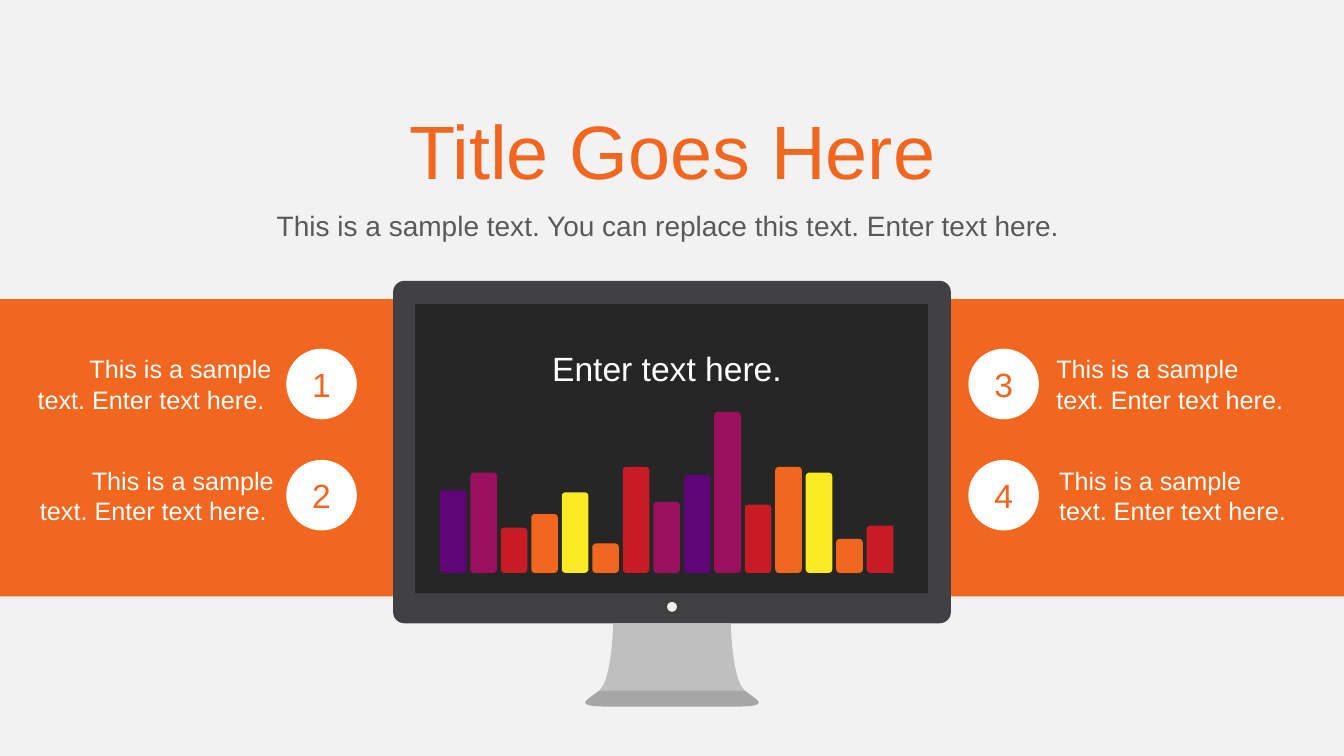
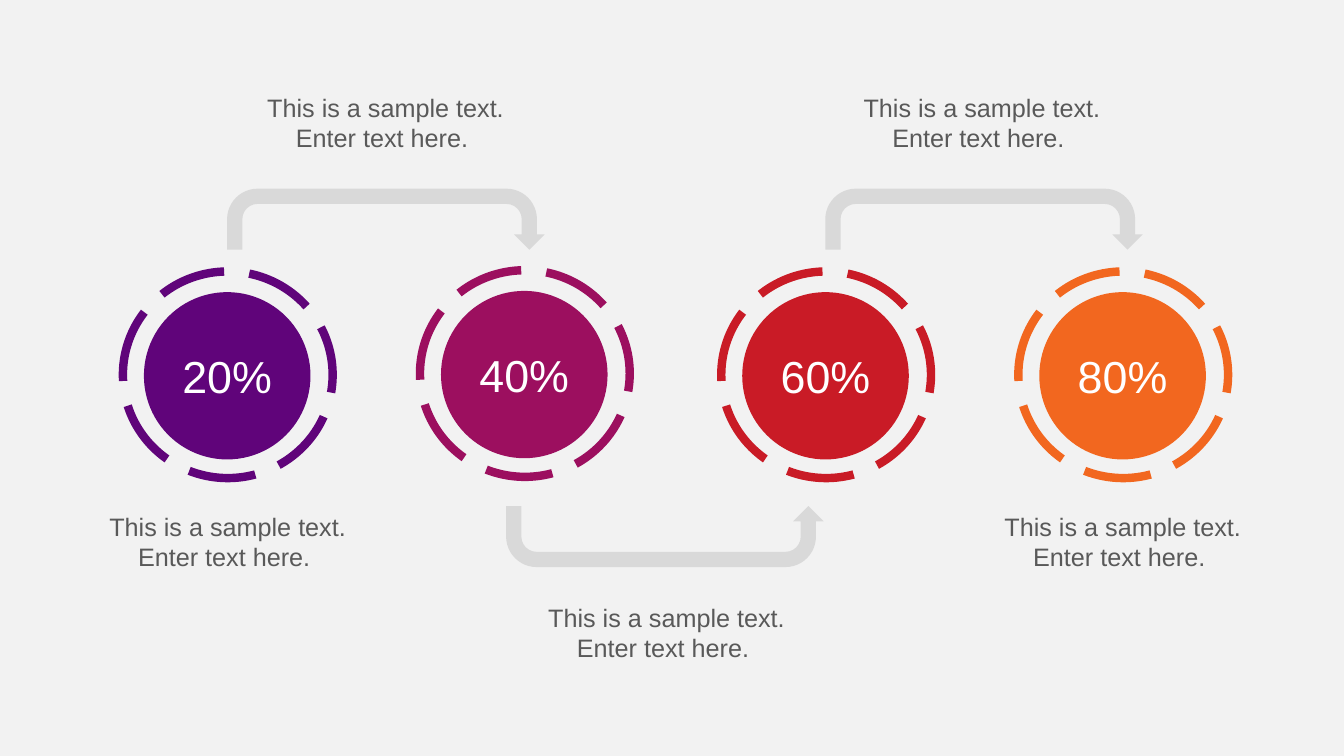
"""Build two infographic slides: a monitor with callouts and a four-step progress flow."""
import pptx
import pptx.util
from pptx.dml.color import RGBColor
from pptx.enum.dml import MSO_LINE
from pptx.enum.shapes import MSO_SHAPE
from pptx.enum.text import MSO_ANCHOR, PP_ALIGN

Pt = pptx.util.Pt
FONT = "Arial"
WIDTH, HEIGHT = 960, 540
COLORS = {
    "paper": "F2F2F2", "white": "FFFFFF", "gray": "595959", "arrow": "D9D9D9",
    "frame": "414042", "screen": "262626", "stand": "BFBFBF", "foot": "A6A6A6",
    "purple": "60047A", "plum": "9C0F5F", "red": "C91B26", "orange": "F2671F",
    "yellow": "FAEA23",
}
SAMPLE = "This is a sample text. Enter text here. "
LEFT, CENTER, RIGHT = PP_ALIGN.LEFT, PP_ALIGN.CENTER, PP_ALIGN.RIGHT

HEADINGS = [
    ("This is a sample text. You can replace this text. Enter text here. ",
     (186, 145.4, 588, 32), 20, "gray"),
    ("Title Goes Here", (78.5, 70.6, 803.5, 73), 54, "orange"),
    ("Enter text here. ", (386.5, 244.8, 186.5, 36), 24, "white"),
]
CALLOUTS = [
    ("1", 204.5, 249.1, 18, RIGHT), ("2", 204.5, 328.5, 19.7, RIGHT),
    ("3", 691.7, 249.1, 747.5, LEFT), ("4", 691.7, 328.5, 749.5, LEFT),
]
BARS = [
    (59, "purple"), (71.6, "plum"), (32.3, "red"), (42, "orange"), (57.5, "yellow"),
    (21, "orange"), (75.7, "red"), (50.7, "plum"), (69.8, "purple"), (115, "plum"),
    (48.7, "red"), (75.7, "orange"), (71.6, "yellow"), (24.2, "orange"), (33.8, "red"),
]
BAR_LEFT, BAR_BASE, BAR_PITCH, BAR_WIDTH, BAR_RADIUS = 314.2, 409.2, 21.78, 19, 2.5

GAUGES = [
    ("20%", "purple", 87.8, 193.9), ("40%", "plum", 300, 193),
    ("60%", "red", 515.2, 193.9), ("80%", "orange", 727.4, 193.9),
]
ARROWS = [(162.2, 134.8, False), (589.5, 134.8, False), (361.5, 361.5, True)]
CAPTIONS = [(162, 62.4), (362.7, 426.6), (588, 62.4), (49.2, 361.5), (688.6, 361.5)]


def color(name):
    return RGBColor.from_string(COLORS[name])


def write(shape, text, size, ink, align=CENTER):
    frame = shape.text_frame
    frame.word_wrap = True
    para = frame.paragraphs[0]
    para.alignment = align
    span = para.add_run()
    span.text = text
    span.font.name = FONT
    span.font.size = Pt(size)
    span.font.color.rgb = color(ink)


def add_text(page, text, place, size, ink, align=CENTER):
    box = page.shapes.add_textbox(*map(Pt, place))
    write(box, text, size, ink, align)


def paint(shape, fill):
    shape.shadow.inherit = False
    shape.fill.solid()
    shape.fill.fore_color.rgb = color(fill)
    shape.line.fill.background()
    return shape


def add_shape(parent, kind, place, fill):
    return paint(parent.shapes.add_shape(kind, *map(Pt, place)), fill)


def add_disc(parent, place, fill, text, size, ink):
    disc = add_shape(parent, MSO_SHAPE.OVAL, place, fill)
    frame = disc.text_frame
    frame.margin_left = frame.margin_right = 0
    frame.vertical_anchor = MSO_ANCHOR.MIDDLE
    write(disc, text, size, ink)


def curve(start, first, second, end, steps=16):
    points = []
    for step in range(steps + 1):
        t = step / steps
        weights = ((1 - t) ** 3, 3 * t * (1 - t) ** 2, 3 * t * t * (1 - t), t ** 3)
        points.append(tuple(
            sum(weight * value for weight, value in zip(weights, values))
            for values in zip(start, first, second, end)))
    return points


def add_symmetric(parent, right_side, fill):
    left_side = [(WIDTH - x, y) for x, y in reversed(right_side)]
    points = [(Pt(x), Pt(y)) for x, y in right_side + left_side]
    builder = parent.shapes.build_freeform(*points[0])
    builder.add_line_segments(points[1:], close=True)
    paint(builder.convert_to_shape(), fill)


def add_monitor(page):
    monitor = page.shapes.add_group_shape()
    body = add_shape(monitor, MSO_SHAPE.ROUNDED_RECTANGLE, (280.8, 200.6, 398.4, 244.6), "frame")
    body.adjustments[0] = 8 / 244.6
    add_shape(monitor, MSO_SHAPE.RECTANGLE, (296.5, 217.2, 366.3, 206.5), "screen")
    add_shape(monitor, MSO_SHAPE.OVAL, (476.5, 430, 7, 7), "paper")
    neck = curve((522, 445.2), (522, 445.2), (522.8, 486), (532, 493.2))
    base = curve((532, 493.2), (540.7, 500.4), (553, 504.8), (522, 504.8))
    add_symmetric(monitor, neck, "stand")
    add_symmetric(monitor, base, "foot")


def add_bars(page):
    bars = page.shapes.add_group_shape()
    for index, (height, fill) in enumerate(BARS):
        left, top = BAR_LEFT + index * BAR_PITCH, BAR_BASE - height
        if index < len(BARS) - 1:
            bar = add_shape(bars, MSO_SHAPE.ROUNDED_RECTANGLE,
                            (left, top, BAR_WIDTH, height), fill)
        else:
            shift = (height - BAR_WIDTH) / 2
            bar = add_shape(bars, MSO_SHAPE.ROUND_2_SAME_RECTANGLE,
                            (left - shift, top + shift, height, BAR_WIDTH), fill)
            bar.rotation = 270
        bar.adjustments[0] = BAR_RADIUS / min(BAR_WIDTH, height)


def build_monitor_slide(page):
    for left in (666, 0):
        add_shape(page, MSO_SHAPE.RECTANGLE, (left, 213.6, 294, 212.4), "orange")
    add_monitor(page)
    add_bars(page)
    for text, place, size, ink in HEADINGS:
        add_text(page, text, place, size, ink)
    for number, disc_left, top, text_left, align in CALLOUTS:
        text = SAMPLE if align == RIGHT else SAMPLE.strip()
        add_text(page, text, (text_left, top, 183, 51), 18, "white", align)
        add_disc(page, (disc_left, top, 50.4, 50.4), "white", number, 24, "orange")


def build_progress_slide(page):
    for label, tint, left, top in GAUGES:
        gauge = page.shapes.add_group_shape()
        add_disc(gauge, (left + 15, top + 14.8, 119, 119.5), tint, label, 32, "white")
        ring = add_shape(gauge, MSO_SHAPE.OVAL, (left, top, 149.8, 147.6), tint)
        ring.fill.background()
        ring.line.color.rgb = color(tint)
        ring.line.width = Pt(6)
        ring.line.dash_style = MSO_LINE.LONG_DASH
    for left, top, flipped in ARROWS:
        arrow = add_shape(page, MSO_SHAPE.U_TURN_ARROW, (left, top, 226.8, 43.6), "arrow")
        for index, value in enumerate((0.25, 0.25, 0.25, 0.5, 1)):
            arrow.adjustments[index] = value
        if flipped:
            arrow.element.spPr.xfrm.set("flipV", "1")
    for left, top in CAPTIONS:
        add_text(page, SAMPLE, (left, top, 226.8, 51), 18, "gray")


def main():
    deck = pptx.Presentation()
    deck.slide_width, deck.slide_height = Pt(WIDTH), Pt(HEIGHT)
    backdrop = deck.slide_master.background.fill
    backdrop.solid()
    backdrop.fore_color.rgb = color("paper")
    for build in (build_monitor_slide, build_progress_slide):
        build(deck.slides.add_slide(deck.slide_layouts[6]))
    deck.save("out.pptx")


if __name__ == "__main__":
    main()
